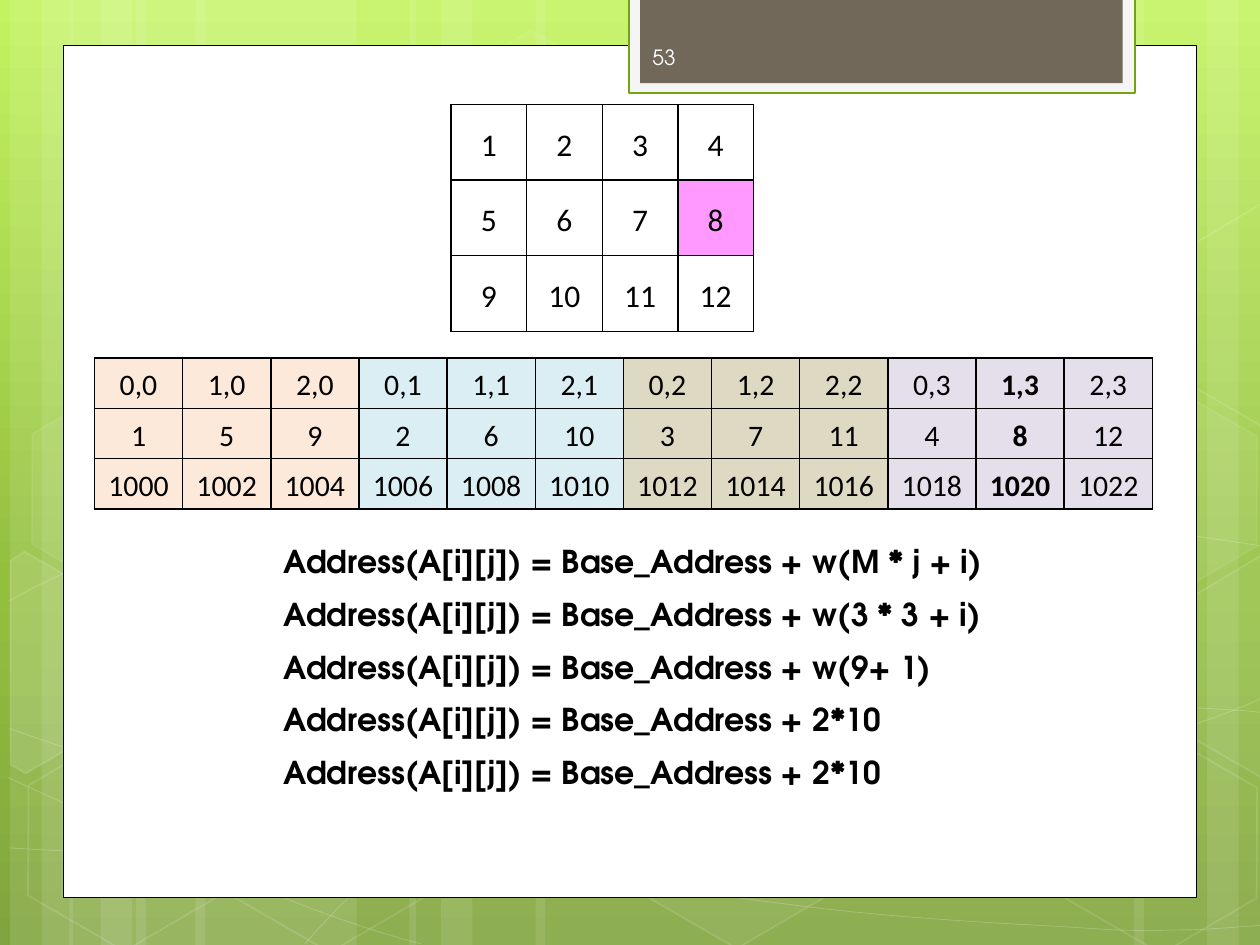
from copy import deepcopy

from lxml import etree
from pptx import Presentation
from pptx.dml.color import RGBColor
from pptx.enum.shapes import MSO_SHAPE as Preset
from pptx.enum.text import MSO_ANCHOR as Anchor, PP_ALIGN as Align
from pptx.oxml.ns import qn
from pptx.util import Inches, Pt

HEADING_FONT, TABLE_FONT = "TeX Gyre Adventor", "Calibri"
GRADIENT = [(0, "C3F35F"), (0.62, "93BF3F"), (1, "81A53E")]
# left, width, rotation
STRIPES = [(1.08, 1.75, 0), (0.08, 0.5, 0), (0.33, 0.83, 0), (1.55, 1.75, 0), (0.55, 0.5, 0),
           (0.8, 0.83, 0), (7.33, 1.75, 180), (9.58, 0.5, 180), (9, 0.83, 180),
           (4.25, 3.08, 0), (3.25, 0.5, 0), (3.5, 0.83, 0)]
# Start point, then three points for each Bézier segment
CURVES = [
    [(0.07, 6.73), (0.61, 6.76), (1.15, 6.79), (1.9, 6.78), (2.65, 6.77), (3.58, 6.75),
     (4.58, 6.65), (5.58, 6.55), (7, 6.36), (7.92, 6.17), (8.83, 5.98), (9.77, 5.68), (10.07, 5.51)],
    [(0.07, 4.77), (0.36, 4.61), (0.65, 4.46), (1.21, 4.31), (1.78, 4.16), (2.59, 3.94),
     (3.47, 3.87), (4.36, 3.8), (5.44, 3.79), (6.54, 3.87), (7.64, 3.95), (9.47, 4.26), (10.07, 4.34)],
    [(0.06, 6.17), (1.27, 6.72), (2.47, 7.27), (3.34, 7.49)],
    [(0.07, 5.78), (0.38, 5.89), (0.7, 6), (1.28, 6.16), (1.86, 6.31), (2.73, 6.56), (3.57, 6.73),
     (4.4, 6.9), (5.45, 7.08), (6.28, 7.18), (7.11, 7.29), (8, 7.33), (8.53, 7.36),
     (9.05, 7.4), (9.19, 7.38), (9.45, 7.38), (9.71, 7.37), (9.89, 7.35), (10.07, 7.34)],
    [(2.42, 7.49), (2.6, 7.29), (2.78, 7.09), (3.02, 6.91), (3.26, 6.73), (3.6, 6.53), (3.88, 6.39),
     (4.16, 6.25), (4.33, 6.19), (4.7, 6.09), (5.06, 5.99), (5.73, 5.85), (6.08, 5.78),
     (6.44, 5.71), (6.49, 5.71), (6.8, 5.69), (7.11, 5.66), (7.6, 5.63), (7.94, 5.62),
     (8.29, 5.61), (8.86, 5.62), (8.86, 5.62), (8.86, 5.62), (9.53, 5.62), (9.53, 5.62),
     (9.71, 5.63), (9.88, 5.64), (9.97, 5.65), (10.06, 5.66), (10.03, 5.65), (10.06, 5.66)],
]
# left, top, fill opacity, line opacity
HEXAGONS = [(3.34, 0.36, 4, 8), (4.97, 5.89, 6, 12), (0.11, 5.91, None, 12), (0.14, 3.12, 7, 8),
            (1.74, 5.92, None, 12), (7.53, 4.53, 10, 12), (8.34, 5.93, None, 12), (8.34, 3.14, 7, 8)]
LEFT_CUT = [(-0.33, 4.71), (-0.27, 4.59), (0.61, 4.59), (1.05, 5.36), (0.62, 6.11), (0.48, 6.11)]
RIGHT_CUT = [(9.17, 5.19), (9.59, 4.44), (9.69, 4.44), (10.53, 5.89), (10.48, 5.96), (9.6, 5.96)]
UPPER_RIGHT_CUT = [(x, y - 2.79) for x, y in RIGHT_CUT]
CUT_HEXAGONS = [(LEFT_CUT, 10), (RIGHT_CUT, 4), (UPPER_RIGHT_CUT, None)]
ROWS, COLUMNS = 3, 4
BASE_ADDRESS, ITEM_SIZE = 1000, 2
TARGET = (1, 3)
COLUMN_COLORS = ["FDE9D9", "DAEEF3", "DDD9C3", "E5DFEC"]
FORMULA_ENDS = ["w(M * j + i)", "w(3 * 3 + i)", "w(9+ 1)", "2*10", "2*10"]


def rgb(color):
    return RGBColor.from_string(color)


def paint(fill, color, opacity=100):
    """Fill with a colour, or with nothing when colour or opacity is None."""
    if color is None or opacity is None:
        fill.background()
        return
    fill.solid()
    fill.fore_color.rgb = rgb(color)
    if opacity < 100:
        color_element = fill._xPr.find(".//" + qn("a:srgbClr"))
        etree.SubElement(color_element, qn("a:alpha"), val=str(opacity * 1000))


def style(shape, fill, opacity=100, line=None, width=1, line_opacity=100):
    shape.shadow.inherit = False
    paint(shape.fill, fill, opacity)
    if line:
        shape.line.width = Pt(width)
    paint(shape.line.fill, line, line_opacity)


def add_preset(slide, preset, box):
    return slide.shapes.add_shape(preset, *map(Inches, box))


def add_outline(slide, points, close):
    start, *rest = [(Inches(x), Inches(y)) for x, y in points]
    builder = slide.shapes.build_freeform(*start)
    builder.add_line_segments(rest, close=close)
    return builder.convert_to_shape()


def add_curve(slide, points):
    """Draw an open outline whose points, three by three, become Bézier segments."""
    shape = add_outline(slide, points, close=False)
    outline = shape._element.find(".//" + qn("a:path"))
    lines = outline.findall(qn("a:lnTo"))
    for first in range(0, len(lines), 3):
        segment = etree.SubElement(outline, qn("a:cubicBezTo"))
        for line in lines[first:first + 3]:
            segment.append(line[0])
            outline.remove(line)
    return shape


def add_text(frame, text, size, font, color="000000", bold=False):
    paragraph = frame.paragraphs[0]
    run = paragraph.add_run()
    run.text = text
    run.font.size, run.font.name, run.font.bold = Pt(size), font, bold
    run.font.color.rgb = rgb(color)
    return paragraph


def add_text_box(slide, box):
    frame = slide.shapes.add_textbox(*map(Inches, box)).text_frame
    frame.word_wrap = True
    return frame


def add_background(slide):
    fill = slide.background.fill
    fill.gradient()
    fill.gradient_angle = 270
    stop_list = slide._element.find(".//" + qn("a:gsLst"))
    stop_list.append(deepcopy(stop_list[0]))
    for stop, (position, color) in zip(fill.gradient_stops, GRADIENT):
        stop.position = position
        stop.color.rgb = rgb(color)


def add_decoration(slide, height):
    for left, width, rotation in STRIPES:
        stripe = add_preset(slide, Preset.RECTANGLE, (left, 0, width, height))
        stripe.rotation = rotation
        style(stripe, "FFFFFF", 10)
    for points in CURVES:
        style(add_curve(slide, points), None, line="FFFFFF", width=0.5, line_opacity=20)
    for left, top, opacity, line_opacity in HEXAGONS:
        hexagon = add_preset(slide, Preset.HEXAGON, (left, top, 1.75, 1.52))
        hexagon.adjustments[0], hexagon.adjustments[1] = 0.285, 1.155
        hexagon.rotation = 30
        style(hexagon, "FFFFFF", opacity, "FFFFFF", 1, line_opacity)
    for points, opacity in CUT_HEXAGONS:
        hexagon = add_outline(slide, points, close=True)
        hexagon.rotation = 30
        style(hexagon, "FFFFFF", opacity, "FFFFFF", 1, 12)


def add_number_tab(slide, left, top, width, height, number):
    style(add_preset(slide, Preset.RECTANGLE, (left, top, width, height)), "F5F5F5", line="74A510", width=1.25)
    inner = (left + 0.09, top, width - 0.19, height - 0.08)
    style(add_preset(slide, Preset.RECTANGLE, inner), "71685A")
    frame = add_text_box(slide, (left + 0.09, top + 0.27, 1.46, 0.4))
    frame.vertical_anchor = Anchor.MIDDLE
    add_text(frame, number, 12, HEADING_FONT, "FEFEFE")


def add_borders(cell):
    properties = cell._tc.get_or_add_tcPr()
    for side in ("lnL", "lnR", "lnT", "lnB"):
        line = etree.SubElement(properties, qn("a:" + side), w=str(Pt(1)))
        etree.SubElement(etree.SubElement(line, qn("a:solidFill")), qn("a:srgbClr"), val="000000")


def add_grid(slide, left, top, cell_width, cell_height, rows, size):
    """Draw a table from rows of (text, fill, bold) cells."""
    count = len(rows[0])
    box = (left, top, cell_width * count, cell_height * len(rows))
    table = slide.shapes.add_table(len(rows), count, *map(Inches, box)).table
    table.first_row = table.horz_banding = False
    for row_index, row in enumerate(rows):
        for column_index, (text, fill, bold) in enumerate(row):
            cell = table.cell(row_index, column_index)
            add_borders(cell)
            paint(cell.fill, fill)
            cell.margin_left = cell.margin_right = Inches(0.07)
            cell.margin_top = cell.margin_bottom = 0
            cell.vertical_anchor = Anchor.MIDDLE
            paragraph = add_text(cell.text_frame, text, size, TABLE_FONT, bold=bold)
            paragraph.alignment, paragraph.line_spacing = Align.CENTER, 1.15


def add_matrix(slide, left, top):
    rows = [[(str(i * COLUMNS + j + 1), "FF99FF" if (i, j) == TARGET else None, False)
             for j in range(COLUMNS)] for i in range(ROWS)]
    add_grid(slide, left, top, 0.6, 0.6, rows, 18)


def add_memory_layout(slide, left, top):
    """Show index, value and address of each item in column-major order."""
    items = []
    for j in range(COLUMNS):
        for i in range(ROWS):
            address = BASE_ADDRESS + ITEM_SIZE * (ROWS * j + i)
            texts = (f"{i},{j}", str(i * COLUMNS + j + 1), str(address))
            items.append([(text, COLUMN_COLORS[j], (i, j) == TARGET) for text in texts])
    add_grid(slide, left, top, 0.7, 0.4, list(zip(*items)), 17)


def add_formulas(slide, left, top, width, pitch):
    for index, ending in enumerate(FORMULA_ENDS):
        frame = add_text_box(slide, (left, top + index * pitch, width, 0.4))
        frame.margin_left = Inches(0.17)
        add_text(frame, "Address(A[i][j]) = Base_Address + " + ending, 18, HEADING_FONT, bold=True)


def main():
    presentation = Presentation()
    presentation.slide_width, presentation.slide_height = Inches(10), Inches(7.5)
    slide = presentation.slides.add_slide(presentation.slide_layouts[6])
    add_background(slide)
    add_decoration(slide, 7.5)
    style(add_preset(slide, Preset.RECTANGLE, (0.5, 0.36, 9, 6.76)), "FFFFFF", line="000000", width=0.5)
    add_number_tab(slide, 4.99, -0.02, 4.02, 0.76, "53")
    add_matrix(slide, 3.58, 0.83)
    add_memory_layout(slide, 0.75, 2.84)
    add_formulas(slide, 2.08, 4.25, 6.42, 0.42)
    presentation.save("out.pptx")


if __name__ == "__main__":
    main()
